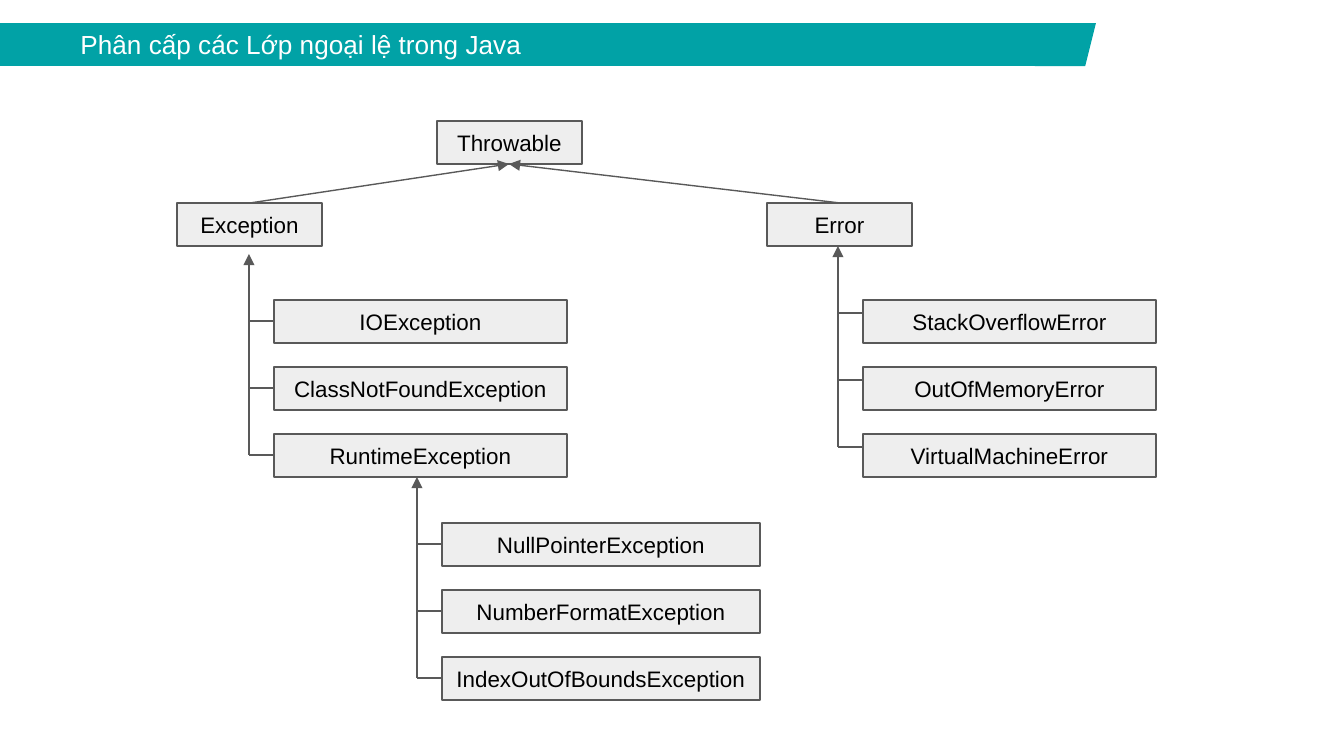
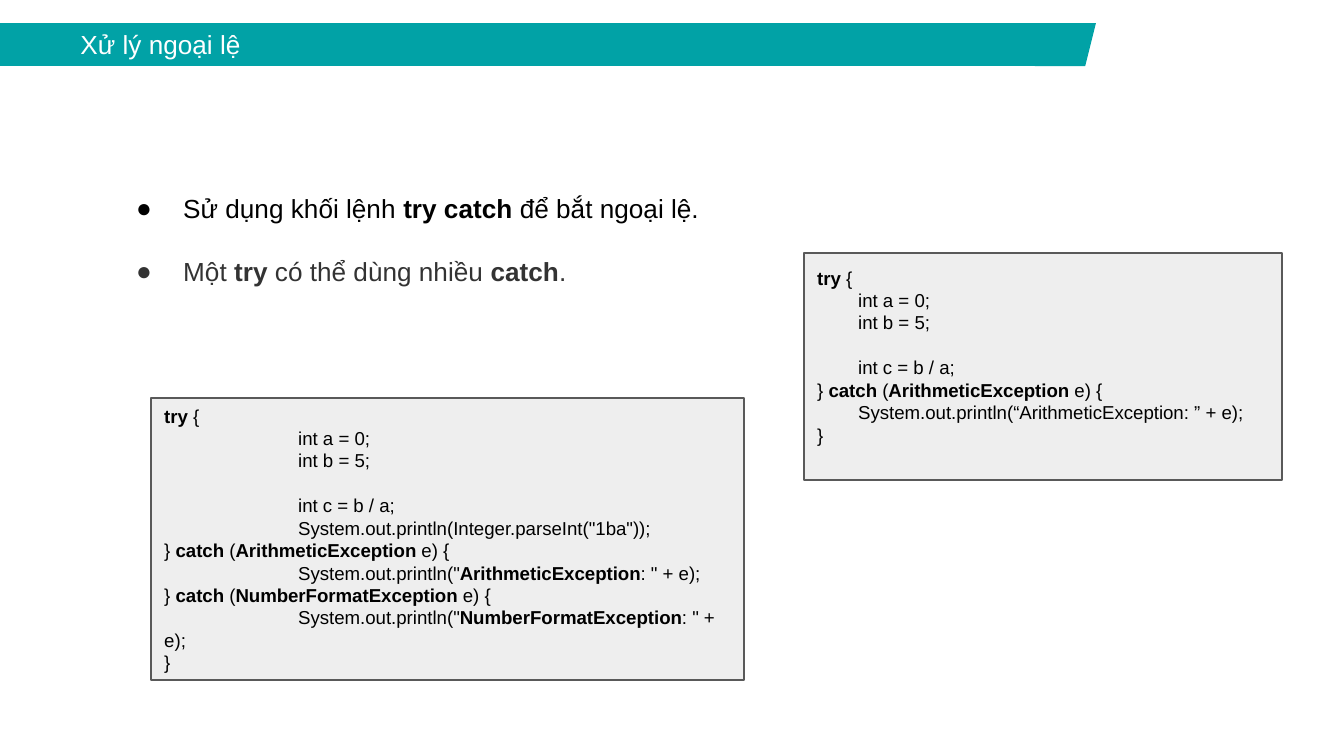
from pptx import Presentation
from pptx.util import Emu, Pt
from pptx.dml.color import RGBColor
from pptx.enum.shapes import MSO_SHAPE, MSO_CONNECTOR
from pptx.enum.text import PP_ALIGN, MSO_ANCHOR, MSO_AUTO_SIZE
from pptx.oxml.ns import qn
from lxml.etree import SubElement

# ---- Content (lengths in pixels, 134.4 to the inch; *...* marks bold) ----
TITLES = ["Phân cấp các Lớp ngoại lệ trong Java", "Xử lý ngoại lệ"]

# Top classes: name, left, top
PARENTS = [("Throwable", 437, 121), ("Error", 767, 203), ("Exception", 177, 203)]
ARROWS = [((250, 203), (509, 164)), ((840, 203), (509, 164))]

# Subclasses: left, top, width, y of the arrow tip, names
BRANCHES = [
    (274, 300, 293, 254,
     ["IOException", "ClassNotFoundException", "RuntimeException"]),
    (442, 523, 318, 477,
     ["NullPointerException", "NumberFormatException",
      "IndexOutOfBoundsException"]),
    (863, 300, 293, 246,
     ["StackOverflowError", "OutOfMemoryError", "VirtualMachineError"]),
]

BULLETS = [
    ("Sử dụng khối lệnh *try catch* để bắt ngoại lệ.", "000000", 10),
    ("Một *try *có thể dùng nhiều *catch*.", "333333", 0),
]

# Code lines: indent level, text, blank lines above
CODE_SHORT = [
    (0, "*try *{", 0),
    (1, "int a = 0;", 0),
    (1, "int b = 5;", 0),
    (1, "int c = b / a;", 1),
    (0, "} *catch *(*ArithmeticException* e) {", 0),
    (1, "System.out.println(“ArithmeticException: ” + e);", 0),
    (0, "}", 0),
]
CODE_LONG = CODE_SHORT[:4] + [
    (1, 'System.out.println(Integer.parseInt("1ba"));', 0),
    (0, "} *catch *(*ArithmeticException* e) {", 0),
    (1, 'System.out.println("*ArithmeticException*: " + e);', 0),
    (0, "} *catch *(*NumberFormatException* e) {", 0),
    (1, 'System.out.println("*NumberFormatException*: " + e);', 0),
    (0, "}", 0),
]
# Code boxes: left, top, width, height, indent, anchor, lines
CODE_BOXES = [
    (804, 253, 478, 227, 41, MSO_ANCHOR.TOP, CODE_SHORT),
    (151, 398, 593, 282, 134, MSO_ANCHOR.MIDDLE, CODE_LONG),
]

# ---- Shared style ----
FONT, TEAL, GREY, LINE = "Arial", "01A2A6", "EEEEEE", "595959"
BOX_W, BOX_H, STEP, STUB = 145, 43, 67, 25
INSET = 13.44
BLANK_LINE = 12


def px(n):
    return Emu(round(n * 914400 / 134.4))


def rgb(value):
    return RGBColor.from_string(value)


def setup_text(tf, anchor):
    tf.word_wrap = True
    tf.auto_size = MSO_AUTO_SIZE.NONE
    tf.vertical_anchor = anchor
    tf.margin_left = tf.margin_right = px(INSET)
    tf.margin_top = tf.margin_bottom = px(INSET)


def next_paragraph(tf, index):
    return tf.add_paragraph() if index else tf.paragraphs[0]


def write(p, text, size, color="000000", align=PP_ALIGN.LEFT, left=0, first=0):
    p.alignment = align
    pPr = p._p.get_or_add_pPr()
    pPr.set("marL", str(px(left)))
    pPr.set("indent", str(px(first)))
    for i, part in enumerate(text.split("*")):
        if part:
            r = p.add_run()
            r.text = part
            r.font.name, r.font.size = FONT, Pt(size)
            r.font.bold = i % 2 == 1
            r.font.color.rgb = rgb(color)
    return pPr


def add_box(s, x, y, w, h, anchor=MSO_ANCHOR.MIDDLE):
    sp = s.shapes.add_shape(MSO_SHAPE.RECTANGLE, px(x), px(y), px(w), px(h))
    sp.shadow.inherit = False
    sp.fill.solid()
    sp.fill.fore_color.rgb = rgb(GREY)
    sp.line.color.rgb = rgb(LINE)
    sp.line.width = Pt(0.75)
    setup_text(sp.text_frame, anchor)
    return sp.text_frame


def add_class(s, name, x, y, w):
    tf = add_box(s, x, y, w, BOX_H)
    write(tf.paragraphs[0], name, 12, align=PP_ALIGN.CENTER)


def add_line(s, start, end, arrow=False):
    cx = s.shapes.add_connector(MSO_CONNECTOR.STRAIGHT,
                                *[px(n) for n in (*start, *end)])
    cx.line.color.rgb = rgb(LINE)
    cx.line.width = Pt(0.75)
    if arrow:
        SubElement(cx.line._get_or_add_ln(), qn("a:tailEnd"), type="triangle")
    SubElement(cx._element.spPr, qn("a:effectLst"))


def add_slide(prs, title):
    s = prs.slides.add_slide(prs.slide_layouts[5])
    # Title band
    sp = s.shapes.title
    sp.left, sp.top, sp.width, sp.height = px(0), px(23), px(1051), px(43)
    sp.fill.solid()
    sp.fill.fore_color.rgb = rgb(TEAL)
    setup_text(sp.text_frame, MSO_ANCHOR.MIDDLE)
    write(sp.text_frame.paragraphs[0], title, 14, "FFFFFF", first=67)
    # Slanted end of the band
    end = s.shapes.add_shape(MSO_SHAPE.PARALLELOGRAM,
                             px(1035), px(23), px(61), px(43))
    end.shadow.inherit = False
    end.fill.solid()
    end.fill.fore_color.rgb = rgb(TEAL)
    end.line.fill.background()
    return s


prs = Presentation()
prs.slide_width, prs.slide_height = px(1344), px(756)
hierarchy, handling = [add_slide(prs, title) for title in TITLES]

# ---- Class hierarchy ----
for name, x, y in PARENTS:
    add_class(hierarchy, name, x, y, BOX_W)
for x, y, w, tip, names in BRANCHES:
    for i, name in enumerate(names):
        add_class(hierarchy, name, x, y + i * STEP, w)
for start, end in ARROWS:
    add_line(hierarchy, start, end, arrow=True)
for x, y, w, tip, names in BRANCHES:
    trunk = x - STUB
    ticks = [tip + STEP * (i + 1) for i in range(len(names))]
    for tick in ticks:
        add_line(hierarchy, (x, tick), (trunk, tick))
    add_line(hierarchy, (trunk, ticks[-1]), (trunk, tip), arrow=True)

# ---- Exception handling: bullets ----
tb = handling.shapes.add_textbox(px(103), px(148), px(1019), px(298))
setup_text(tb.text_frame, MSO_ANCHOR.TOP)
for i, (text, color, before) in enumerate(BULLETS):
    p = next_paragraph(tb.text_frame, i)
    pPr = write(p, text, 14, color, left=67, first=-47)
    p.line_spacing = 2.0
    p.space_before = Pt(before)
    SubElement(SubElement(pPr, qn("a:buClr")), qn("a:srgbClr"), val=color)
    SubElement(pPr, qn("a:buFont"), typeface=FONT)
    SubElement(pPr, qn("a:buChar"), char="●")

# ---- Exception handling: code boxes ----
for x, y, w, h, indent, anchor, lines in CODE_BOXES:
    tf = add_box(handling, x, y, w, h, anchor)
    for i, (level, text, blanks) in enumerate(lines):
        p = next_paragraph(tf, i)
        write(p, text, 10, first=level * indent)
        p.space_before = Pt(blanks * BLANK_LINE)

prs.save("out.pptx")
